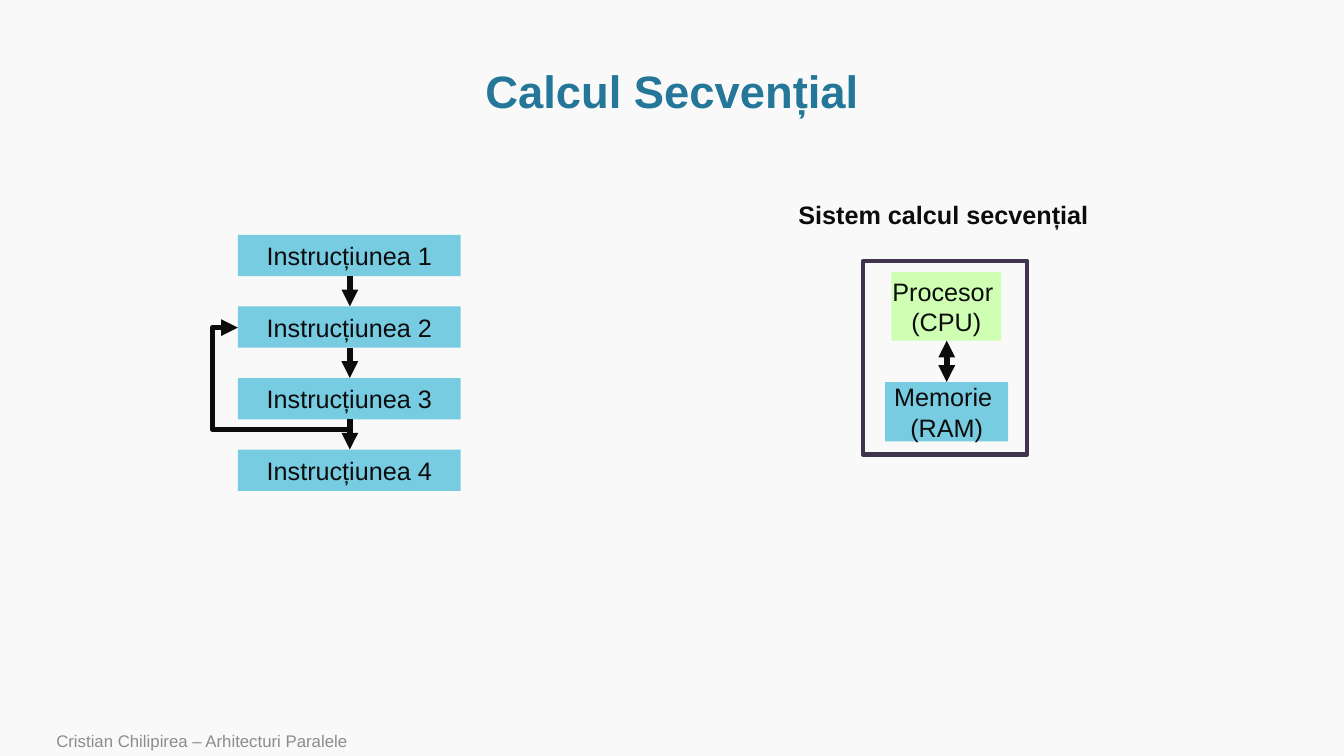
from pptx import Presentation
from pptx.dml.color import RGBColor
from pptx.enum.shapes import MSO_CONNECTOR, MSO_SHAPE
from pptx.enum.text import MSO_ANCHOR, PP_ALIGN
from pptx.oxml.ns import qn
from pptx.util import Inches, Pt
from lxml import etree

RECT = MSO_SHAPE.RECTANGLE
LINE, BENT = MSO_CONNECTOR.STRAIGHT, MSO_CONNECTOR.ELBOW
LEFT, MID = PP_ALIGN.LEFT, PP_ALIGN.CENTER
CENTER, TOP, BASE = MSO_ANCHOR.MIDDLE, MSO_ANCHOR.TOP, MSO_ANCHOR.BOTTOM

THEME = {
    "font": "Arial",
    "back": RGBColor(0xF9, 0xF9, 0xF9),
    "title": RGBColor(0x24, 0x77, 0x98),
    "ink": RGBColor(0x0C, 0x0C, 0x0C),
    "blue": RGBColor(0x78, 0xCC, 0xE2),
    "green": RGBColor(0xCF, 0xFF, 0xB3),
    "frame": RGBColor(0x3F, 0x33, 0x4D),
    "gray": RGBColor(0x8C, 0x8C, 0x8C),
    "head": Pt(32.4),
    "body": Pt(18),
    "small": Pt(12),
}


def write(shape, text, size="body", color="ink", bold=False, align=MID, anchor=CENTER, wrap=False):
    frame = shape.text_frame
    frame.text = text
    frame.word_wrap = wrap
    frame.vertical_anchor = anchor
    for para in frame.paragraphs:
        para.alignment = align
        para.font.name = THEME["font"]
        para.font.size = THEME[size]
        para.font.bold = bold
        para.font.color.rgb = THEME[color]


def arrow(kind, start, end, ends=("tailEnd",)):
    link = slide.shapes.add_connector(kind, *map(Inches, start + end))
    link.line.color.rgb = THEME["ink"]
    link.line.width = Pt(4)
    for name in ends:
        etree.SubElement(link.line._get_or_add_ln(), qn("a:" + name), type="triangle")
    etree.SubElement(link._element.spPr, qn("a:effectLst"))
    return link


deck = Presentation()
deck.slide_width, deck.slide_height = Inches(13.33), Inches(7.5)
slide = deck.slides.add_slide(deck.slide_layouts[5])
slide.background.fill.solid()
slide.background.fill.fore_color.rgb = THEME["back"]

title = slide.shapes.title
title.left, title.top = Inches(2.01), Inches(0.68)
title.width, title.height = Inches(9.31), Inches(0.5)
write(title, "Calcul Secvențial", "head", "title", bold=True, wrap=True)
title.text_frame.paragraphs[0].line_spacing = 0.9

first, step, tall = 2.33, 0.71, 0.41
boxes = [
    (f"Instrucțiunea {i + 1}", 2.36, first + i * step, 2.21, tall, "blue")
    for i in range(4)
]
boxes += [
    ("Memorie \n(RAM)", 8.78, 3.79, 1.22, 0.59, "blue"),
    ("Procesor \n(CPU)", 8.84, 2.7, 1.09, 0.68, "green"),
]
for text, x, y, w, h, color in boxes:
    box = slide.shapes.add_shape(RECT, Inches(x), Inches(y), Inches(w), Inches(h))
    box.shadow.inherit = False
    box.fill.solid()
    box.fill.fore_color.rgb = THEME[color]
    box.line.fill.background()
    write(box, text)

for i in range(3):
    y = first + i * step
    arrow(LINE, (3.47, y + tall), (3.47, y + step))
arrow(LINE, (9.39, 3.38), (9.39, 3.79), ("headEnd", "tailEnd"))

loop = arrow(BENT, (3.37, 3.15), (2.46, 4.26))
props = loop._element.spPr
props.find(qn("a:xfrm")).set("rot", "5400000")
geom = props.find(qn("a:prstGeom"))
geom.set("prst", "bentConnector4")
guides = geom.find(qn("a:avLst"))
for name, value in (("adj1", -11000), ("adj2", 122600)):
    etree.SubElement(guides, qn("a:gd"), name=name, fmla=f"val {value}")

frame = slide.shapes.add_shape(RECT, Inches(8.56), Inches(2.59), Inches(1.63), Inches(1.92))
frame.shadow.inherit = False
frame.fill.background()
frame.line.color.rgb = THEME["frame"]
frame.line.width = Pt(3)

label = slide.shapes.add_textbox(Inches(7.82), Inches(1.93), Inches(3.11), Inches(0.4))
write(label, "Sistem calcul secvențial", bold=True, align=LEFT, anchor=TOP)

foot = slide.shapes.add_textbox(Inches(0.46), Inches(7.22), Inches(9.82), Inches(0.28))
write(foot, "Cristian Chilipirea – Arhitecturi Paralele", "small", "gray", align=LEFT, anchor=BASE, wrap=True)

deck.save("out.pptx")
